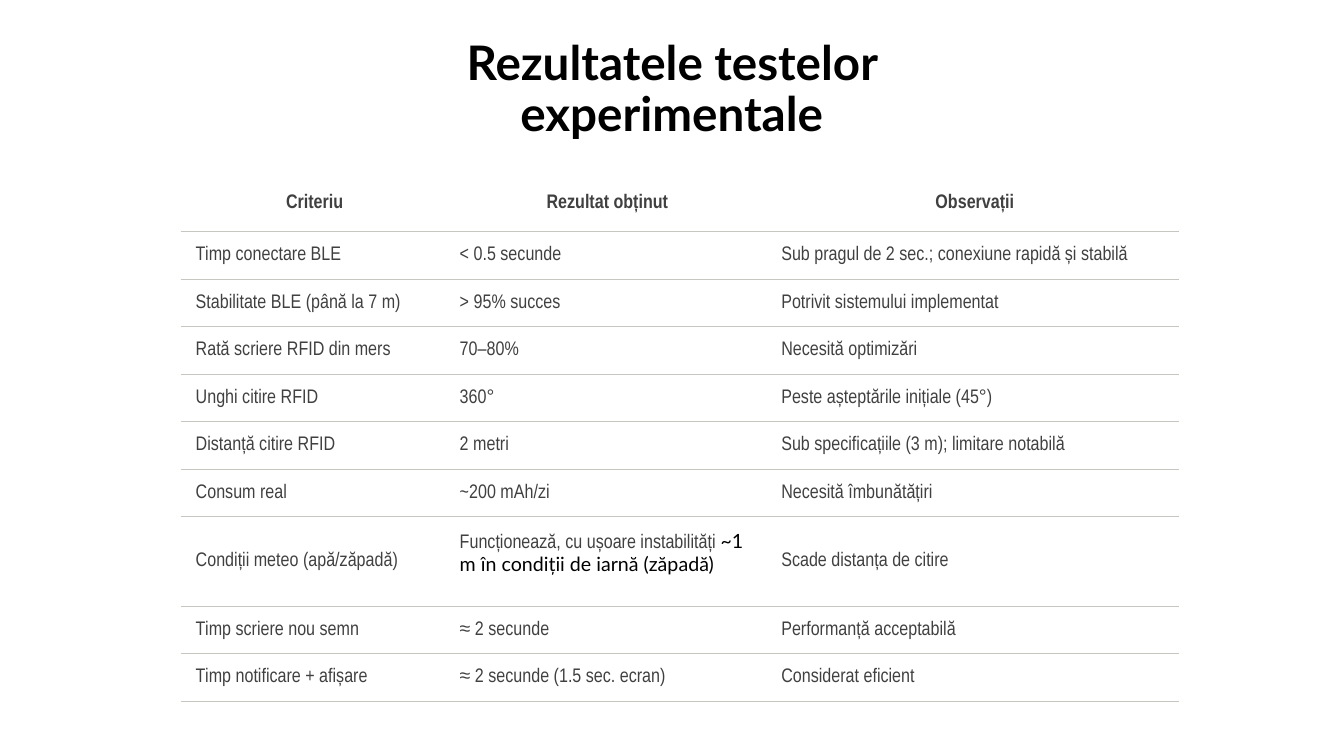
from lxml import etree
from pptx import Presentation
from pptx.dml.color import RGBColor
from pptx.enum.text import MSO_ANCHOR, MSO_AUTO_SIZE, PP_ALIGN
from pptx.oxml.ns import qn
from pptx.util import Pt

CENTER, LEFT = PP_ALIGN.CENTER, PP_ALIGN.LEFT
MIDDLE, BOTTOM = MSO_ANCHOR.MIDDLE, MSO_ANCHOR.BOTTOM
NO_FIT = MSO_AUTO_SIZE.NONE

TITLE = "Rezultatele testelor experimentale"
HEAD = ("Criteriu", "Rezultat obținut", "Observații")
WEATHER = "Condiții meteo (apă/zăpadă)"
SNOW = "~1 m în condiții de iarnă (zăpadă)"
TESTS = [
    ("Timp conectare BLE", "< 0.5 secunde",
     "Sub pragul de 2 sec.; conexiune rapidă și stabilă"),
    ("Stabilitate BLE (până la 7 m)", "> 95% succes",
     "Potrivit sistemului implementat"),
    ("Rată scriere RFID din mers", "70–80%", "Necesită optimizări"),
    ("Unghi citire RFID", "360°", "Peste așteptările inițiale (45°)"),
    ("Distanță citire RFID", "2 metri",
     "Sub specificațiile (3 m); limitare notabilă"),
    ("Consum real", "~200 mAh/zi", "Necesită îmbunătățiri"),
    (WEATHER, "Funcționează, cu ușoare instabilități ",
     "Scade distanța de citire"),
    ("Timp scriere nou semn", "≈ 2 secunde", "Performanță acceptabilă"),
    ("Timp notificare + afișare", "≈ 2 secunde (1.5 sec. ecran)",
     "Considerat eficient"),
]
COLORS = {"title": "000000", "text": "404040", "rule": "C7C6C1"}
SANS, NARROW = "Lato", "Arial Narrow"
WIDTHS = (188.6, 229.7, 295.2)
HEAD_H, ROW_H, TALL_H = 40.3, 33.95, 64
PLAIN_STYLE = "{2D5ABB26-0587-4C30-8999-92F81FD0307C}"


def style(run, size, face, color, bold=False):
    font = run.font
    font.size, font.name, font.bold = Pt(size), face, bold
    font.color.rgb = RGBColor.from_string(COLORS[color])


def underline(cell):
    """Draw the rule along the bottom edge of a cell."""
    line = etree.Element(qn("a:lnB"), w=str(Pt(0.75)))
    fill = etree.SubElement(line, qn("a:solidFill"))
    etree.SubElement(fill, qn("a:srgbClr"), val=COLORS["rule"])
    cell._tc.get_or_add_tcPr().insert(0, line)


def add_title(slide):
    title = slide.shapes.title
    title.left, title.top = Pt(221), Pt(28)
    title.width, title.height = Pt(517.7), Pt(77)
    frame = title.text_frame
    frame.text = TITLE
    frame.word_wrap, frame.auto_size = True, NO_FIT
    frame.vertical_anchor = BOTTOM
    para = frame.paragraphs[0]
    para.alignment, para.line_spacing = CENTER, 0.9
    style(para.runs[0], 34, SANS, "title", True)


def fill_cell(cell, text, head):
    cell.fill.background()
    cell.vertical_anchor = MIDDLE
    cell.margin_left, cell.margin_right = Pt(10.8), Pt(7.9)
    cell.margin_top = cell.margin_bottom = Pt(5.8)
    para = cell.text_frame.paragraphs[0]
    para.text = text
    para.alignment = CENTER if head else LEFT
    style(para.runs[0], 14, NARROW, "text", head)
    underline(cell)


def add_results(slide):
    rows = [HEAD] + TESTS
    heights = [HEAD_H] + [TALL_H if t[0] == WEATHER else ROW_H for t in TESTS]
    frame = slide.shapes.add_table(len(rows), len(HEAD), Pt(129), Pt(125.3),
                                   Pt(sum(WIDTHS)), Pt(sum(heights)))
    table = frame.table
    table.first_row = table.horz_banding = False
    table._tbl.tblPr.find(qn("a:tableStyleId")).text = PLAIN_STYLE
    for col, width in zip(table.columns, WIDTHS):
        col.width = Pt(width)
    for r, (row, height) in enumerate(zip(rows, heights)):
        table.rows[r].height = Pt(height)
        for c, text in enumerate(row):
            fill_cell(table.cell(r, c), text, r == 0)
        if row[0] == WEATHER:
            cell = table.cell(r, 1)
            cell.margin_bottom = Pt(19)
            run = cell.text_frame.paragraphs[0].add_run()
            run.text = SNOW
            style(run, 14, SANS, "title")


def main():
    deck = Presentation()
    deck.slide_width, deck.slide_height = Pt(960), Pt(540)
    slide = deck.slides.add_slide(deck.slide_layouts[5])
    add_title(slide)
    add_results(slide)
    deck.save("out.pptx")


if __name__ == "__main__":
    main()
